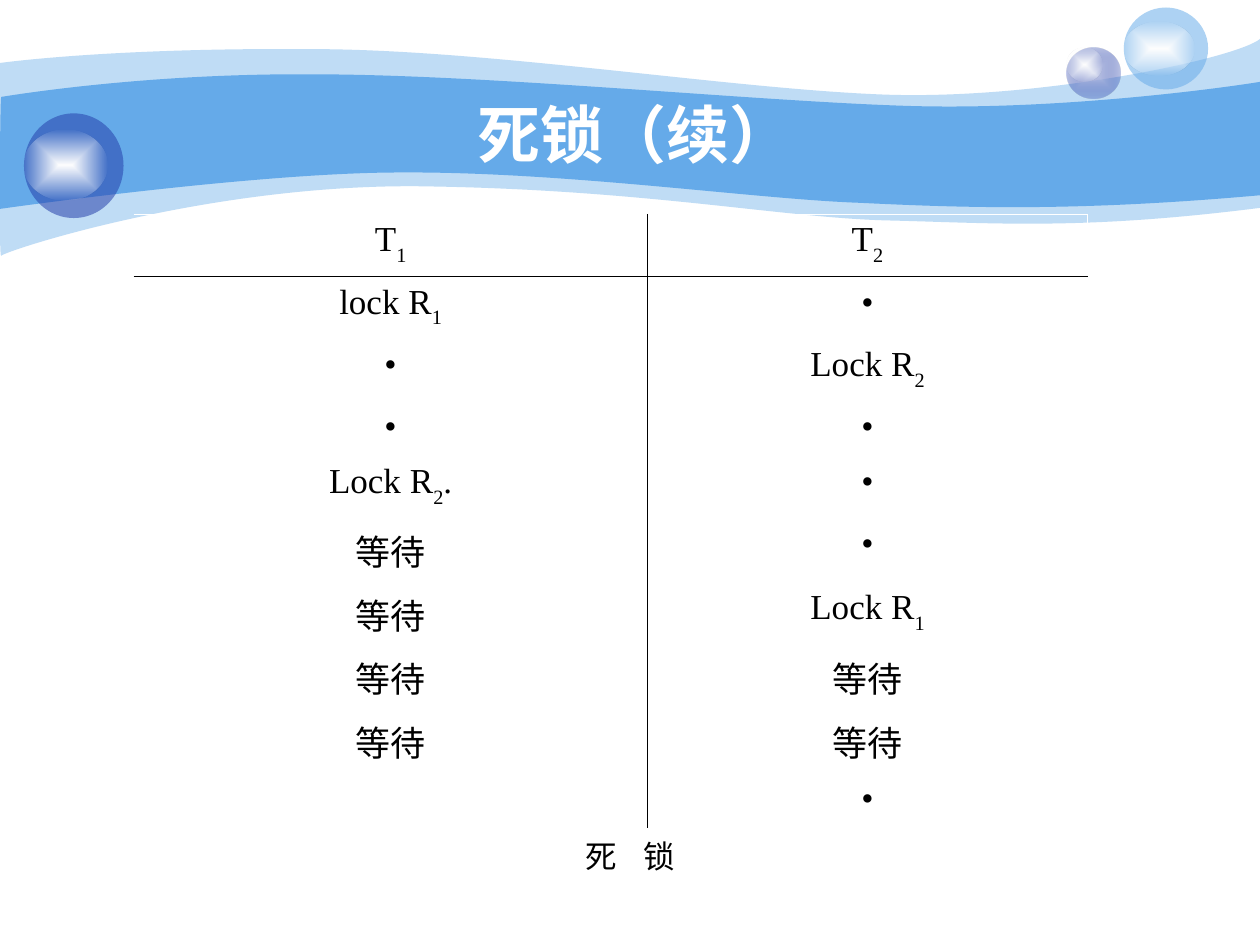
"""Builds the slide on deadlock: a two-column lock schedule under a wave banner."""
from lxml import etree
from pptx import Presentation
from pptx.dml.color import RGBColor
from pptx.enum.shapes import MSO_SHAPE
from pptx.enum.text import MSO_ANCHOR, PP_ALIGN
from pptx.oxml import parse_xml
from pptx.oxml.ns import nsdecls, qn
from pptx.util import Pt

OVAL = MSO_SHAPE.OVAL
MIDDLE = MSO_ANCHOR.MIDDLE
CENTER = PP_ALIGN.CENTER
SKY = RGBColor(0x65, 0xAA, 0xE9)
NAVY = RGBColor(0x23, 0x3D, 0xA9)
PALE = RGBColor(0xC7, 0xCE, 0xE9)
WHITE = RGBColor(0xFF, 0xFF, 0xFF)
BLACK = RGBColor(0, 0, 0)
SERIF = "Times New Roman"

TITLE = ("死锁（续）",)
NOTE = ("死", " ", "锁")
NOTE_GAP = 11.2
DOT = ("•",)
WAIT = ("等待",)
STEPS = [
    (("T", "1"), ("T", "2")),
    (("lock R", "1"), DOT),
    (DOT, ("Lock R", "2")),
    (DOT, DOT),
    (("Lock R", "2", "."), DOT),
    (WAIT, DOT),
    (WAIT, ("Lock R", "1")),
    (WAIT, WAIT),
    (WAIT, WAIT),
    ((), DOT),
]
WIDTHS = [293.8, 251.3]
HEIGHTS = [35.7, 35.7, 35.5, 31.4, 35.5, 36.4, 36.4, 36.4, 36.4, 31.4]

WAVES = [
    (41, (0, 36), [
        (17, 33.8, 77, 27.4, 177.8, 28.1), (278, 28.1, 414, 50.4, 503.3, 54),
        (592, 57.6, 705.6, 33.8, 720, 22.3), (720, 118.8),
        (618, 131.8, 566.6, 127.4, 507.6, 126), (448, 124.6, 370.8, 108.7, 247, 106.6),
        (123.8, 103.7, 2.9, 143.3, 0.7, 146.2), (-0.7, 149.8, 0, 54, 0, 36)]),
    (100, (0.7, 55.4), [
        (1.4, 55.4, 79.2, 41.8, 178.6, 42.5), (277.9, 42.5, 428.4, 57.6, 517, 60.5),
        (605.5, 63.4, 702.7, 49.7, 720, 46.8), (720, 111.6),
        (614.2, 121, 550.8, 118.8, 491, 115.9), (431.3, 113.8, 321.8, 97.9, 228.2, 98.6),
        (146.2, 98.6, -1.4, 119.5, -0.7, 119.5), (0, 119.5, 0, 55.4, 0.7, 55.4)]),
]
GLOW = [(0, WHITE, 100), (100, WHITE, 0)]
BALLS = [
    ((609.8, 27.4, 30.2, 28.8), [(0, PALE, 100), (100, NAVY, 31)]),
    ((609.8, 27.4, 20.2, 19.4), GLOW),
    ((642.2, 4.3, 48.2, 46.8), (SKY, 53)),
    ((642.2, 12.2, 40.3, 31), GLOW),
    ((13.7, 64.8, 56.9, 59.8), (NAVY, 53)),
    ((13.7, 74.2, 47.5, 40.3), GLOW),
]


def tint(shape, color, alpha):
    shape.shadow.inherit = False
    shape.line.fill.background()
    shape.fill.solid()
    shape.fill.fore_color.rgb = color
    if alpha < 100:
        node = shape.fill._xPr.find(".//" + qn("a:srgbClr"))
        etree.SubElement(node, qn("a:alpha")).set("val", str(alpha * 1000))


def blend(shape, stops):
    tint(shape, WHITE, 100)
    marks = "".join(
        f'<a:gs pos="{pos * 1000}"><a:srgbClr val="{color}">'
        f'<a:alpha val="{alpha * 1000}"/></a:srgbClr></a:gs>'
        for pos, color, alpha in stops)
    solid = shape._element.spPr.find(qn("a:solidFill"))
    solid.getparent().replace(solid, parse_xml(
        f'<a:gradFill {nsdecls("a")} rotWithShape="1"><a:gsLst>{marks}</a:gsLst>'
        '<a:path path="rect"><a:fillToRect l="50000" t="50000" r="50000" b="50000"/>'
        '</a:path></a:gradFill>'))


def add_wave(slide, start, parts):
    pen = slide.shapes.build_freeform(*map(Pt, start))
    spots = [(Pt(x), Pt(y)) for part in parts for x, y in zip(part[::2], part[1::2])]
    pen.add_line_segments(spots, close=True)
    shape = pen.convert_to_shape()
    steps = iter(shape._element.findall(".//" + qn("a:lnTo")))
    for part in parts:
        group = [next(steps) for _ in part[::2]]
        if len(group) == 3:
            curve = parse_xml(f'<a:cubicBezTo {nsdecls("a")}/>')
            group[0].addprevious(curve)
            for step in group:
                curve.append(step[0])
                step.getparent().remove(step)
    return shape


def style(run, font, size, color, bold=False):
    run.font.name = font
    run.font.size = Pt(size)
    run.font.color.rgb = color
    run.font.bold = bold


def write(line, parts, look):
    line.alignment = CENTER
    for part in parts:
        run = line.add_run()
        run.text = part
        style(run, *look)
    return line.runs


def label(slide, box, parts, look, wrap):
    frame = slide.shapes.add_textbox(*map(Pt, box)).text_frame
    frame.word_wrap = wrap
    frame.vertical_anchor = MIDDLE
    return write(frame.paragraphs[0], parts, look)


def rule(cell, sides):
    props = cell._tc.get_or_add_tcPr()
    for spot, side in enumerate("LRTB"):
        color = sides.get(side)
        fill = (f'<a:solidFill><a:srgbClr val="{color}"/></a:solidFill>'
                if color is not None else "<a:noFill/>")
        props.insert(spot, parse_xml(
            f'<a:ln{side} {nsdecls("a")} w="5715">{fill}</a:ln{side}>'))


def add_steps(slide):
    last = len(STEPS) - 1
    table = slide.shapes.add_table(
        len(STEPS), 2, Pt(76.3), Pt(122.4), Pt(sum(WIDTHS)), Pt(sum(HEIGHTS))).table
    table.first_row = table.horz_banding = False
    for col, width in zip(table.columns, WIDTHS):
        col.width = Pt(width)
    for row, height in zip(table.rows, HEIGHTS):
        row.height = Pt(height)
    for r, pair in enumerate(STEPS):
        for c, parts in enumerate(pair):
            cell = table.cell(r, c)
            cell.fill.background()
            runs = write(cell.text_frame.paragraphs[0], parts, (SERIF, 20, BLACK))
            for run in runs[1::2]:
                run.font._element.set("baseline", "-30000")
            sides = {"L": BLACK, "R": WHITE} if c else {"R": BLACK}
            if r < 2:
                sides["T"] = BLACK if r else WHITE
            if r in (0, last):
                sides["B"] = WHITE if r else BLACK
            rule(cell, sides)


def main():
    deck = Presentation()
    deck.slide_width, deck.slide_height = Pt(720), Pt(540)
    slide = deck.slides.add_slide(deck.slide_layouts[6])
    for alpha, start, parts in WAVES:
        tint(add_wave(slide, start, parts), SKY, alpha)
    for box, paint in BALLS:
        ball = slide.shapes.add_shape(OVAL, *map(Pt, box))
        if isinstance(paint, list):
            blend(ball, paint)
        else:
            tint(ball, *paint)
    label(slide, (72, 54, 581.8, 44.6), TITLE, ("Arial", 36, WHITE, True), True)
    add_steps(slide)
    note = label(slide, (300.2, 474.5, 120.2, 28.8), NOTE, (SERIF, 18, BLACK), False)
    note[1].font._element.set("spc", str(round(NOTE_GAP * 100)))
    deck.save("out.pptx")


if __name__ == "__main__":
    main()
